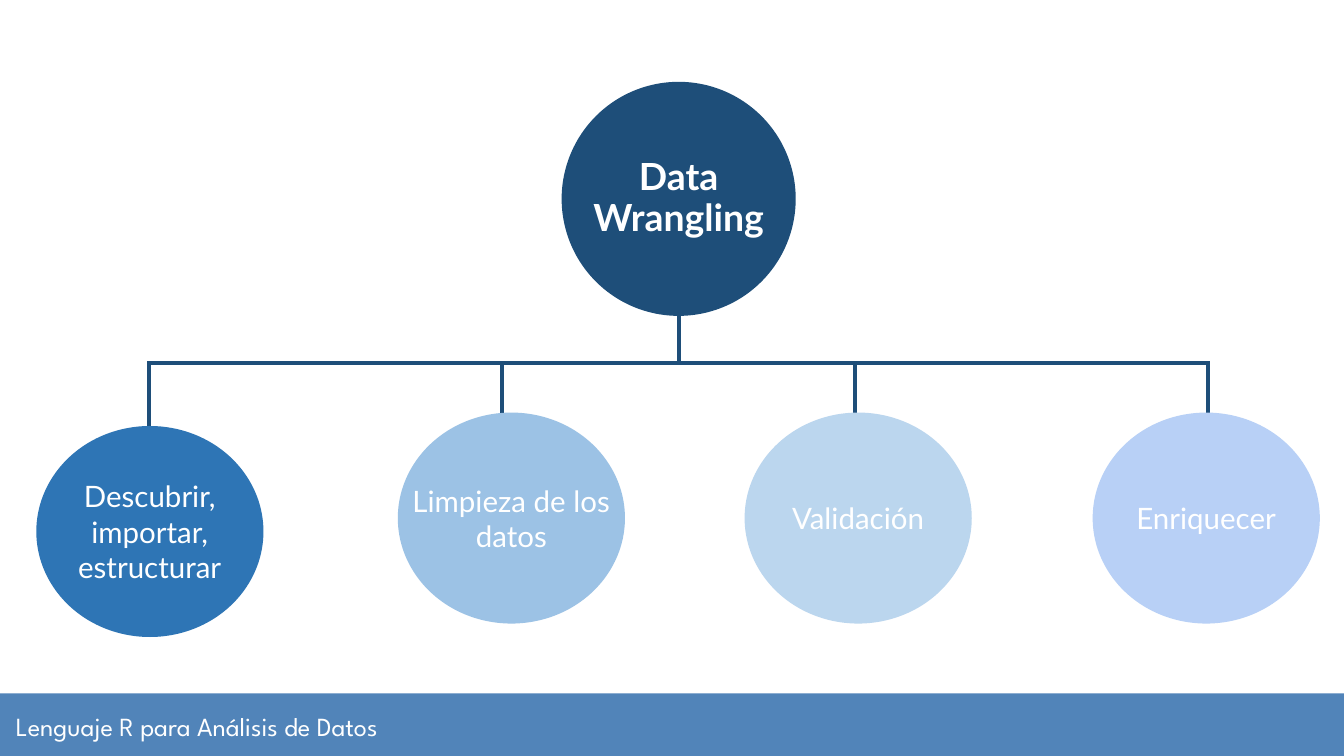
from pptx import Presentation
from pptx.dml.color import RGBColor
from pptx.enum.shapes import MSO_CONNECTOR, MSO_SHAPE
from pptx.enum.text import MSO_ANCHOR, PP_ALIGN
from pptx.oxml.ns import qn
from pptx.util import Inches, Pt
from lxml.etree import SubElement

NAVY = "1E4E79"
WHITE = "FFFFFF"
STAGES = [
    ("Descubrir, importar, estructurar", "2E75B5", 0.27, 3.17),
    ("Limpieza de los datos", "9CC2E5", 2.96, 3.07),
    ("Validación", "BBD6EE", 5.54, 3.07),
    ("Enriquecer", "B8D0F6", 8.13, 3.07),
]


def color(hex_value):
    """Turn a hex string into a colour."""
    return RGBColor.from_string(hex_value)


def set_text(shape, wording, size, font, bold=False):
    """Write white text into a shape, centred vertically."""
    frame = shape.text_frame
    frame.word_wrap = True
    frame.vertical_anchor = MSO_ANCHOR.MIDDLE
    frame.text = wording
    run_font = frame.paragraphs[0].runs[0].font
    run_font.size = Pt(size)
    run_font.name = font
    run_font.bold = bold
    run_font.color.rgb = color(WHITE)
    return frame


def add_filled(slide, preset, box, fill):
    """Add a flat preset shape without an outline."""
    shape = slide.shapes.add_shape(preset, *map(Inches, box))
    shape.shadow.inherit = False
    shape.fill.solid()
    shape.fill.fore_color.rgb = color(fill)
    shape.line.fill.background()
    return shape


def add_circle(slide, box, fill, wording, size, bold=False):
    """Add a circle whose text may use nearly its full width."""
    circle = add_filled(slide, MSO_SHAPE.OVAL, box, fill)
    frame = set_text(circle, wording, size, "Lato", bold)
    frame.margin_left = frame.margin_right = Inches(-0.2)
    frame.margin_top = frame.margin_bottom = 0
    frame.paragraphs[0].alignment = PP_ALIGN.CENTER
    return circle


def add_branch(slide, start, end):
    """Draw one straight line of the tree."""
    branch = slide.shapes.add_connector(
        MSO_CONNECTOR.STRAIGHT, *map(Inches, (*start, *end)))
    branch.line.color.rgb = color(NAVY)
    branch.line.width = Pt(2.25)
    SubElement(branch._element.spPr, qn("a:effectLst"))


def add_footer(slide, left, top, width, height):
    """Add the course band along the bottom."""
    add_filled(slide, MSO_SHAPE.RECTANGLE, (left, top, width, height), "5184B9")
    course = slide.shapes.add_textbox(
        *map(Inches, (left + 0.02, top + 0.01, width / 2, height)))
    frame = set_text(course, "Lenguaje R para Análisis de Datos", 14,
                     "League Spartan")
    frame.margin_left = frame.margin_right = Inches(0.1)
    frame.margin_top = frame.margin_bottom = Inches(0.1)


def add_branches(slide, left, top, width, height):
    """Draw the trunk, the crossbar and evenly spaced drops."""
    bar, bottom = top + 1.17, top + height
    middle, right = left + width / 2, left + width
    add_branch(slide, (middle, top), (middle, bar))
    add_branch(slide, (left - 0.01, bar), (right + 0.01, bar))
    for index in range(len(STAGES)):
        drop = left + index * width / (len(STAGES) - 1)
        add_branch(slide, (drop, bar - 0.01), (drop, bottom))


def add_tree(slide, left, top, width, height):
    """Build the root circle, its branches and the stage circles."""
    add_branches(slide, left + 0.84, top + 0.9, width - 1.67, height - 1.92)
    root = add_circle(slide, (left + 3.93, top, 1.7, 1.7), NAVY,
                      "Data Wrangling", 20, True)
    root.line.color.rgb = color(NAVY)
    root.line.width = Pt(3)
    root.text_frame.paragraphs[0].line_spacing = 0.9
    for wording, fill, stage_left, stage_top in STAGES:
        box = (left + stage_left - 0.27, top + stage_top - 0.63, 1.69, 1.57)
        add_circle(slide, box, fill, wording, 15.8)


def main():
    """Build and save the slide."""
    deck = Presentation()
    deck.slide_width, deck.slide_height = Inches(10), Inches(10 * 9 / 16)
    slide = deck.slides.add_slide(deck.slide_layouts[6])
    add_footer(slide, 0, 5.16, 10, 0.47)
    add_tree(slide, 0.27, 0.63, 9.55, 4.11)
    deck.save("out.pptx")


if __name__ == "__main__":
    main()
